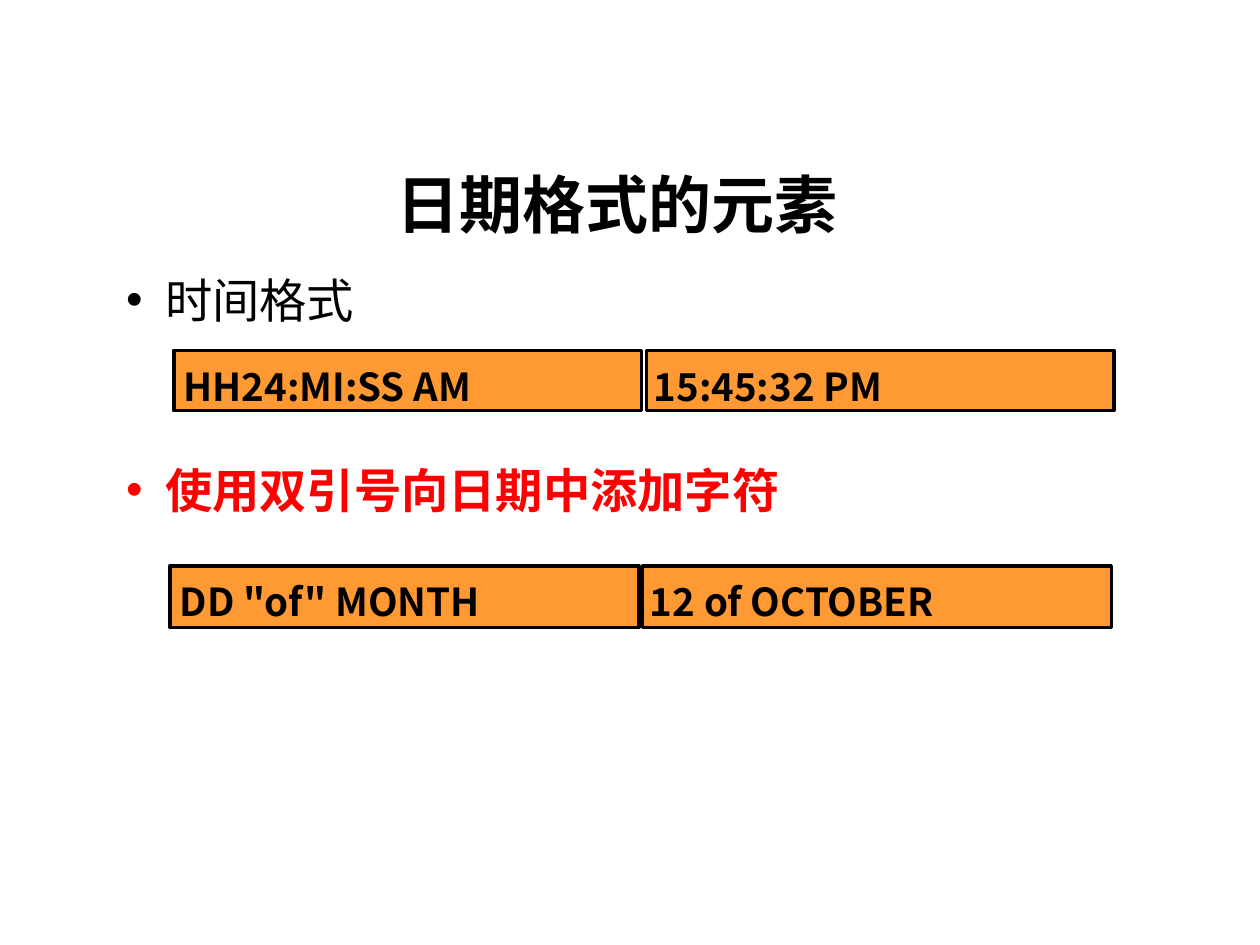
from dataclasses import dataclass

from lxml import etree
from pptx import Presentation
from pptx.dml.color import RGBColor
from pptx.enum.shapes import MSO_SHAPE
from pptx.enum.text import MSO_ANCHOR, MSO_AUTO_SIZE, PP_ALIGN
from pptx.oxml.ns import qn
from pptx.util import Inches, Pt

RECTANGLE = MSO_SHAPE.RECTANGLE
TOP = MSO_ANCHOR.TOP
NO_AUTOFIT = MSO_AUTO_SIZE.NONE
LEFT, CENTER = PP_ALIGN.LEFT, PP_ALIGN.CENTER

FONT = "Noto Sans CJK SC"
COLORS = {"text": "000000", "accent": "FF0000", "cell": "FF9933", "border": "000000"}
CELL_PITCH, LABEL_PITCH = 3.75, 3.73
LABEL_WIDTH, LABEL_HEIGHT = 3.72, 0.47
LABEL_SHIFT_X, LABEL_SHIFT_Y = -0.02, 0.05
BULLET_INDENT = 0.31


@dataclass
class FormatRow:
    left: float
    top: float
    cell_width: float
    cell_height: float
    labels: tuple[str, str]


@dataclass
class Bullet:
    text: str
    color: str
    bold: bool
    space_before: float


FORMAT_ROWS = [
    FormatRow(1.38, 2.78, 3.71, 0.48, ("HH24:MI:SS AM", "15:45:32 PM")),
    FormatRow(1.35, 4.49, 3.72, 0.49, ('DD "of" MONTH', "12 of OCTOBER")),
]
BULLETS = [
    Bullet("时间格式", "text", False, 0),
    Bullet("使用双引号向日期中添加字符", "accent", True, 74.3),
]


def color(name: str) -> RGBColor:
    return RGBColor.from_string(COLORS[name])


def write_text(paragraph, text: str, *, size: float, color_name: str = "text",
               bold: bool = True, alignment=LEFT) -> None:
    paragraph.alignment = alignment
    run = paragraph.add_run()
    run.text = text
    font = run.font
    font.size = Pt(size)
    font.bold = bold
    font.color.rgb = color(color_name)
    font.name = FONT
    east_asian = etree.SubElement(run._r.get_or_add_rPr(), qn("a:ea"))
    east_asian.set("typeface", FONT)


def add_bullet_mark(paragraph, color_name: str) -> None:
    properties = paragraph._p.get_or_add_pPr()
    properties.set("marL", str(Inches(BULLET_INDENT)))
    properties.set("indent", str(-Inches(BULLET_INDENT)))
    bullet_color = etree.SubElement(properties, qn("a:buClr"))
    etree.SubElement(bullet_color, qn("a:srgbClr")).set("val", COLORS[color_name])
    etree.SubElement(properties, qn("a:buFont")).set("typeface", "Arial")
    etree.SubElement(properties, qn("a:buChar")).set("char", "•")


def place(shape, left: float, top: float, width: float, height: float):
    shape.left, shape.top = Inches(left), Inches(top)
    shape.width, shape.height = Inches(width), Inches(height)
    frame = shape.text_frame
    frame.word_wrap = True
    frame.auto_size = NO_AUTOFIT
    frame.vertical_anchor = TOP
    return frame


def draw_bullets(frame, bullets: list[Bullet]) -> None:
    for index, bullet in enumerate(bullets):
        paragraph = frame.add_paragraph() if index else frame.paragraphs[0]
        add_bullet_mark(paragraph, bullet.color)
        paragraph.line_spacing = 1.05
        paragraph.space_before = Pt(bullet.space_before)
        write_text(paragraph, bullet.text, size=27, color_name=bullet.color,
                   bold=bullet.bold)


def draw_format_row(slide, row: FormatRow) -> None:
    group = slide.shapes.add_group_shape()
    for column in range(len(row.labels)):
        cell = group.shapes.add_shape(
            RECTANGLE, Inches(row.left + column * CELL_PITCH), Inches(row.top),
            Inches(row.cell_width), Inches(row.cell_height))
        cell.shadow.inherit = False
        cell.fill.solid()
        cell.fill.fore_color.rgb = color("cell")
        cell.line.color.rgb = color("border")
        cell.line.width = Pt(2)
    for column, text in enumerate(row.labels):
        label = group.shapes.add_textbox(
            Inches(row.left + LABEL_SHIFT_X + column * LABEL_PITCH),
            Inches(row.top + LABEL_SHIFT_Y),
            Inches(LABEL_WIDTH), Inches(LABEL_HEIGHT))
        label.text_frame.word_wrap = True
        write_text(label.text_frame.paragraphs[0], text, size=22)


def main() -> None:
    presentation = Presentation()
    presentation.slide_width, presentation.slide_height = Inches(10), Inches(7.5)
    slide = presentation.slides.add_slide(presentation.slide_layouts[1])
    title_frame = place(slide.shapes.title, 0.69, 1.26, 8.42, 1.57)
    write_text(title_frame.paragraphs[0], "日期格式的元素", size=36, alignment=CENTER)
    draw_bullets(place(slide.placeholders[1], 0.9, 2.08, 8.08, 2.93), BULLETS)
    for row in FORMAT_ROWS:
        draw_format_row(slide, row)
    presentation.save("out.pptx")


if __name__ == "__main__":
    main()
